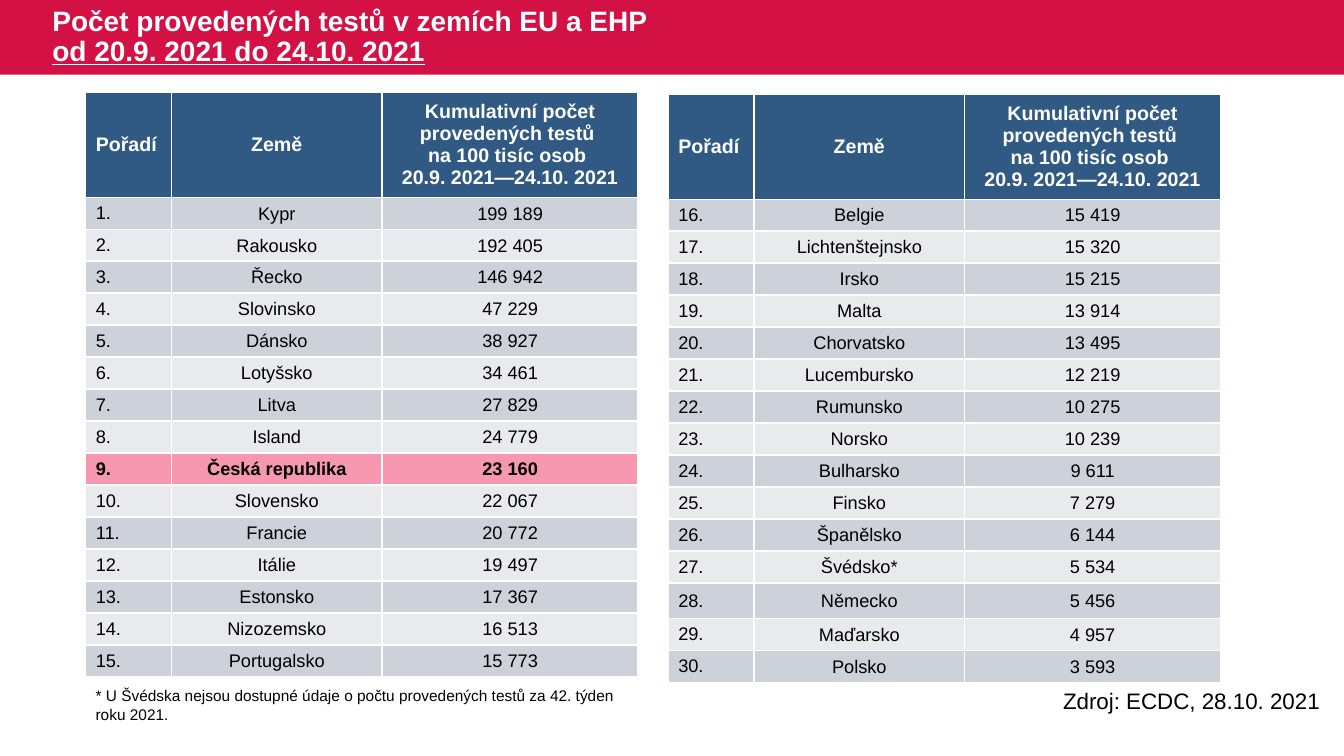
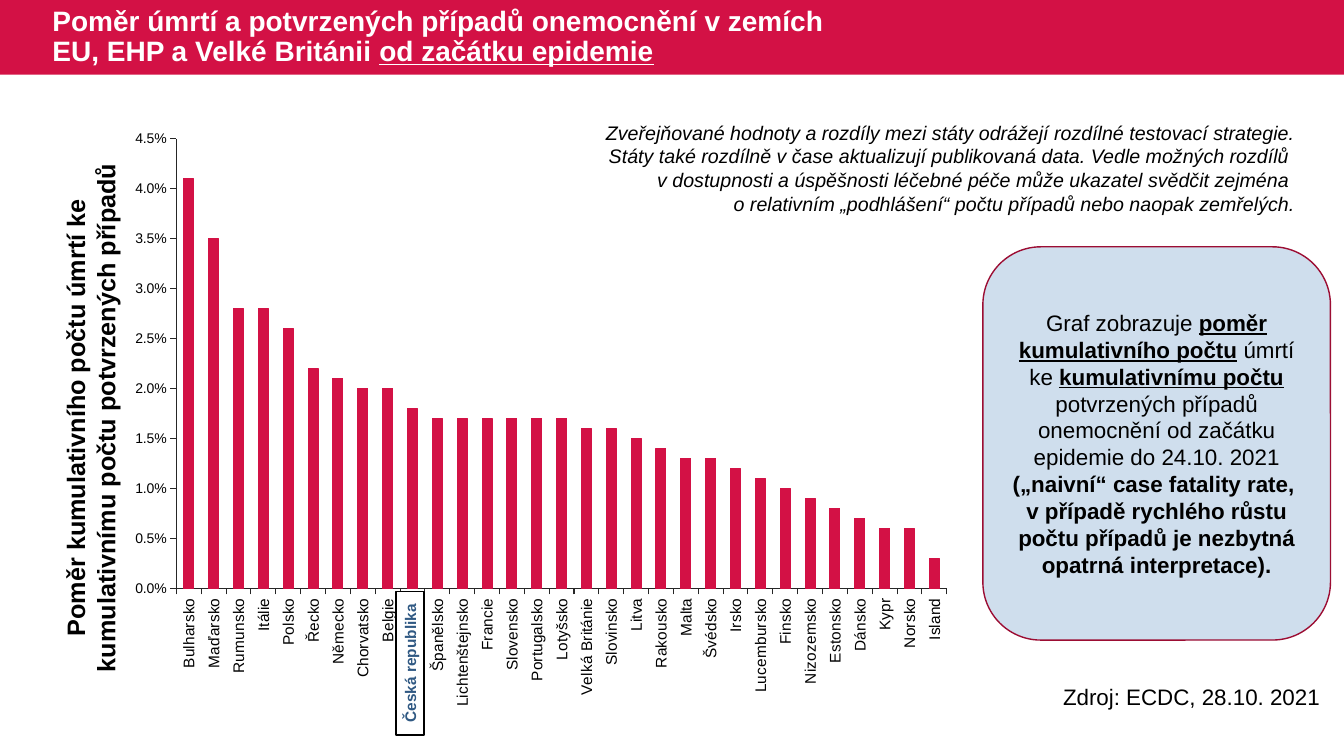
from dataclasses import dataclass, field
from typing import Any

from lxml.etree import SubElement
from pptx import Presentation
from pptx.chart.data import CategoryChartData
from pptx.dml.color import RGBColor
from pptx.enum.chart import XL_CHART_TYPE, XL_TICK_MARK
from pptx.enum.shapes import MSO_SHAPE
from pptx.enum.text import MSO_ANCHOR, PP_ALIGN
from pptx.oxml.ns import qn
from pptx.util import Cm, Pt


@dataclass(frozen=True)
class Theme:
    font: str = "Arial"
    red: str = "D31145"
    wine: str = "9C0D33"
    navy: str = "305983"
    sky: str = "CFDEED"
    pink: str = "F797B0"
    dark: str = "CDD1D9"
    light: str = "E8EAED"
    white: str = "FFFFFF"
    black: str = "000000"
    axis: str = "262626"
    title: float = 20
    label: float = 18
    body: float = 16
    head: float = 14
    cell: float = 13
    small: float = 11
    tick: float = 10


THEME = Theme()
BOLD = {"bold": True}
LINE = {"underline": True}
BOTH = BOLD | LINE


@dataclass(frozen=True)
class Box:
    left: float
    top: float
    width: float
    height: float

    def place(self) -> tuple[Cm, Cm, Cm, Cm]:
        return Cm(self.left), Cm(self.top), Cm(self.width), Cm(self.height)


@dataclass(frozen=True)
class Run:
    text: str
    form: dict[str, Any] = field(default_factory=dict)


@dataclass(frozen=True)
class Style:
    size: float
    color: str = THEME.black
    form: dict[str, Any] = field(default_factory=dict)
    para: dict[str, Any] = field(default_factory=dict)
    frame: dict[str, Any] = field(default_factory=dict)


@dataclass(frozen=True)
class Ranks:
    box: Box
    first: int
    rows: list[tuple[str, str]]
    tall: int = 0


def apply(item: Any, form: dict[str, Any]) -> None:
    for name, value in form.items():
        setattr(item, name, value)


def set_font(font: Any, size: float, color: str, form: dict[str, Any]) -> None:
    apply(font, {"name": THEME.font, "size": Pt(size)} | form)
    font.color.rgb = RGBColor.from_string(color)


def write(frame: Any, paras: list[list[Run]], style: Style) -> None:
    apply(frame, {"word_wrap": True} | style.frame)
    for index, runs in enumerate(paras):
        para = frame.paragraphs[0] if index == 0 else frame.add_paragraph()
        apply(para, style.para)
        for run in runs:
            for count, part in enumerate(run.text.split("\n")):
                if count:
                    para.add_line_break()
                if part:
                    piece = para.add_run()
                    piece.text = part
                    set_font(piece.font, style.size, style.color, style.form | run.form)


def add_text(slide: Any, box: Box, paras: list[list[Run]], style: Style, turn: float = 0) -> None:
    shape = slide.shapes.add_textbox(*box.place())
    shape.rotation = turn
    write(shape.text_frame, paras, style)


def add_block(slide: Any, kind: MSO_SHAPE, box: Box, fill: str, line: str = "") -> Any:
    shape = slide.shapes.add_shape(kind, *box.place())
    shape.shadow.inherit = False
    shape.fill.solid()
    shape.fill.fore_color.rgb = RGBColor.from_string(fill)
    if line:
        shape.line.color.rgb = RGBColor.from_string(line)
        shape.line.width = Pt(1)
    else:
        shape.line.fill.background()
    return shape


CENTER = {"alignment": PP_ALIGN.CENTER}
MIDDLE = {"vertical_anchor": MSO_ANCHOR.MIDDLE}
TITLE = Style(THEME.title, THEME.white, BOLD, {"line_spacing": 0.9}, MIDDLE)
SOURCE = Style(THEME.body)


def add_page(deck: Any, title: list[Run], source: float) -> Any:
    slide = deck.slides.add_slide(deck.slide_layouts[6])
    add_block(slide, MSO_SHAPE.RECTANGLE, Box(0, 0, 33.87, 1.88), THEME.red)
    add_text(slide, Box(1.07, 0, 20.73, 1.87), [title], TITLE)
    add_text(slide, Box(26.54, source, 7.25, 0.94), [[Run("Zdroj: ECDC, 28.10. 2021")]], SOURCE)
    return slide


HEADS = [
    ["Pořadí"],
    ["Země"],
    ["Kumulativní počet provedených testů ", "na 100 tisíc osob ", "20.9. 2021—24.10. 2021"],
]
COLS = [2.16, 5.31, 6.45]
TIGHT = {
    "margin_left": Cm(0.03),
    "margin_right": Cm(0.03),
    "margin_top": Cm(0.03),
    "margin_bottom": Cm(0),
}


def fill_cell(cell: Any, lines: list[str], fill: str, style: Style) -> None:
    cell.fill.solid()
    cell.fill.fore_color.rgb = RGBColor.from_string(fill)
    apply(cell, MIDDLE)
    write(cell.text_frame, [[Run(line)] for line in lines], style)


def add_ranks(slide: Any, ranks: Ranks) -> None:
    size = len(ranks.rows) + 1
    table = slide.shapes.add_table(size, len(COLS), *ranks.box.place()).table
    for col, width in zip(table.columns, COLS):
        col.width = Cm(width)
    table.rows[0].height = Cm(2.47)
    for index, lines in enumerate(HEADS):
        para = CENTER if index else {}
        fill_cell(table.cell(0, index), lines, THEME.navy, Style(THEME.head, THEME.white, BOLD, para))
    for row, (land, tests) in enumerate(ranks.rows, 1):
        table.rows[row].height = Cm(0.9 if row == ranks.tall else 0.77)
        home = land == "Česká republika"
        fill = THEME.pink if home else THEME.dark if row % 2 else THEME.light
        for index, text in enumerate([f"{ranks.first + row - 1}.", land, tests]):
            cell = table.cell(row, index)
            apply(cell, TIGHT if index else {})
            style = Style(THEME.cell, form={"bold": home}, para=CENTER if index else {})
            fill_cell(cell, [text], fill, style)


LEFT = Ranks(Box(2.16, 2.34, 13.92, 14.02), 1, [
    ("Kypr", "199 189"), ("Rakousko", "192 405"), ("Řecko", "146 942"),
    ("Slovinsko", "47 229"), ("Dánsko", "38 927"), ("Lotyšsko", "34 461"),
    ("Litva", "27 829"), ("Island", "24 779"), ("Česká republika", "23 160"),
    ("Slovensko", "22 067"), ("Francie", "20 772"), ("Itálie", "19 497"),
    ("Estonsko", "17 367"), ("Nizozemsko", "16 513"), ("Portugalsko", "15 773"),
])
RIGHT = Ranks(Box(16.84, 2.39, 13.92, 14.15), 16, [
    ("Belgie", "15 419"), ("Lichtenštejnsko", "15 320"), ("Irsko", "15 215"),
    ("Malta", "13 914"), ("Chorvatsko", "13 495"), ("Lucembursko", "12 219"),
    ("Rumunsko", "10 275"), ("Norsko", "10 239"), ("Bulharsko", "9 611"),
    ("Finsko", "7 279"), ("Španělsko", "6 144"), ("Švédsko*", "5 534"),
    ("Německo", "5 456"), ("Maďarsko", "4 957"), ("Polsko", "3 593"),
], tall=13)

RATES = {
    "Bulharsko": 0.041, "Maďarsko": 0.035, "Rumunsko": 0.028, "Itálie": 0.028,
    "Polsko": 0.026, "Řecko": 0.022, "Německo": 0.021, "Chorvatsko": 0.02,
    "Belgie": 0.02, "Česká republika": 0.018, "Španělsko": 0.017,
    "Lichtenštejnsko": 0.017, "Francie": 0.017, "Slovensko": 0.017,
    "Portugalsko": 0.017, "Lotyšsko": 0.017, "Velká Británie": 0.016,
    "Slovinsko": 0.016, "Litva": 0.015, "Rakousko": 0.014, "Malta": 0.013,
    "Švédsko": 0.013, "Irsko": 0.012, "Lucembursko": 0.011, "Finsko": 0.01,
    "Nizozemsko": 0.009, "Estonsko": 0.008, "Dánsko": 0.007, "Kypr": 0.006,
    "Norsko": 0.006, "Island": 0.003,
}


def set_plot(chart: Any, spots: dict[str, Any]) -> None:
    area = chart._chartSpace.chart.plotArea
    for old in area.findall(qn("c:layout")):
        area.remove(old)
    outer = SubElement(area, qn("c:layout"))
    area.insert(0, outer)
    inner = SubElement(outer, qn("c:manualLayout"))
    for name, value in spots.items():
        SubElement(inner, qn(f"c:{name}")).set("val", str(value))


def add_rates(slide: Any) -> None:
    data = CategoryChartData(number_format="0.0%")
    data.categories = list(RATES)
    data.add_series("Series 1", list(RATES.values()))
    box = Box(2.95, 2.74, 21.34, 15.11)
    chart = slide.shapes.add_chart(XL_CHART_TYPE.COLUMN_CLUSTERED, *box.place(), data).chart
    apply(chart, {"has_legend": False, "has_title": False})
    set_font(chart.font, THEME.tick, THEME.black, {})
    plot = chart.plots[0]
    apply(plot, {"gap_width": 150, "vary_by_categories": False})
    look = plot.series[0].format
    look.fill.solid()
    look.fill.fore_color.rgb = RGBColor.from_string(THEME.red)
    look.line.color.rgb = RGBColor.from_string(THEME.red)
    look.line.width = Pt(0.75)
    for axis, size in ((chart.category_axis, THEME.small), (chart.value_axis, THEME.tick)):
        apply(axis, {
            "has_major_gridlines": False,
            "major_tick_mark": XL_TICK_MARK.OUTSIDE,
            "minor_tick_mark": XL_TICK_MARK.NONE,
        })
        set_font(axis.tick_labels.font, size, THEME.black, {"bold": False})
        axis.format.line.color.rgb = RGBColor.from_string(THEME.axis)
        axis.format.line.width = Pt(0.75)
    apply(chart.value_axis, {"minimum_scale": 0, "maximum_scale": 0.045, "major_unit": 0.005})
    apply(chart.value_axis.tick_labels, {"number_format": "0.0%", "number_format_is_linked": False})
    chart.category_axis._element.txPr.find(qn("a:bodyPr")).set("rot", "-5400000")
    set_plot(chart, {
        "layoutTarget": "inner", "xMode": "edge", "yMode": "edge",
        "x": 0.07, "y": 0.05, "w": 0.91, "h": 0.75,
    })


def draw_tests(deck: Any) -> None:
    title = [
        Run("Počet provedených testů v zemích EU a EHP \n"),
        Run("od 20.9. 2021 do 24.10. 2021", LINE),
    ]
    slide = add_page(deck, title, 17.2)
    for ranks in (LEFT, RIGHT):
        add_ranks(slide, ranks)
    note = "* U Švédska nejsou dostupné údaje o počtu provedených testů za 42. týden roku 2021."
    add_text(slide, Box(2.16, 17.17, 13.92, 1.19), [[Run(note)]], Style(THEME.small))


def draw_rates(deck: Any) -> None:
    title = [
        Run("Poměr úmrtí a potvrzených případů onemocnění v zemích EU, EHP a Velké Británii "),
        Run("od začátku epidemie", LINE),
    ]
    slide = add_page(deck, title, 17.09)
    label = "Poměr kumulativního počtu úmrtí ke kumulativnímu počtu potvrzených případů"
    add_text(slide, Box(-4.6, 9.63, 13.77, 1.8), [[Run(label)]],
             Style(THEME.label, form=BOLD, para=CENTER), 270)
    add_rates(slide)
    panel = add_block(slide, MSO_SHAPE.ROUNDED_RECTANGLE, Box(24.77, 6.22, 8.76, 9.91), THEME.sky, THEME.wine)
    write(panel.text_frame, [[
        Run("Graf zobrazuje "),
        Run("poměr kumulativního počtu", BOTH),
        Run(" úmrtí ke "),
        Run("kumulativnímu počtu", BOTH),
        Run(" potvrzených případů onemocnění od začátku epidemie do 24.10. 2021\n"),
        Run("(„naivní“ case fatality rate, \nv případě rychlého růstu počtu případů "
            "je nezbytná opatrná interpretace).", BOLD),
    ]], Style(THEME.body, para=CENTER, frame=MIDDLE))
    tag = add_block(slide, MSO_SHAPE.RECTANGLE, Box(8.53, 16.36, 3.61, 0.71), THEME.white, THEME.black)
    tag.rotation = 270
    write(tag.text_frame, [[Run("Česká republika")]],
          Style(THEME.small, THEME.navy, BOLD, CENTER, MIDDLE))
    add_text(slide, Box(14.78, 2.92, 18.11, 2.64), [
        [Run("Zveřejňované hodnoty a rozdíly mezi státy odrážejí rozdílné testovací strategie. "
             "Státy také rozdílně v čase aktualizují publikovaná data. Vedle možných rozdílů \n"
             "v dostupnosti a úspěšnosti léčebné péče může ukazatel svědčit zejména ")],
        [Run("o relativním „podhlášení“ počtu případů nebo naopak zemřelých.")],
    ], Style(THEME.head, form={"italic": True}, para={"alignment": PP_ALIGN.RIGHT}))


def main() -> None:
    deck = Presentation()
    apply(deck, {"slide_width": Cm(33.87), "slide_height": Cm(19.05)})
    draw_tests(deck)
    draw_rates(deck)
    deck.save("out.pptx")


if __name__ == "__main__":
    main()
